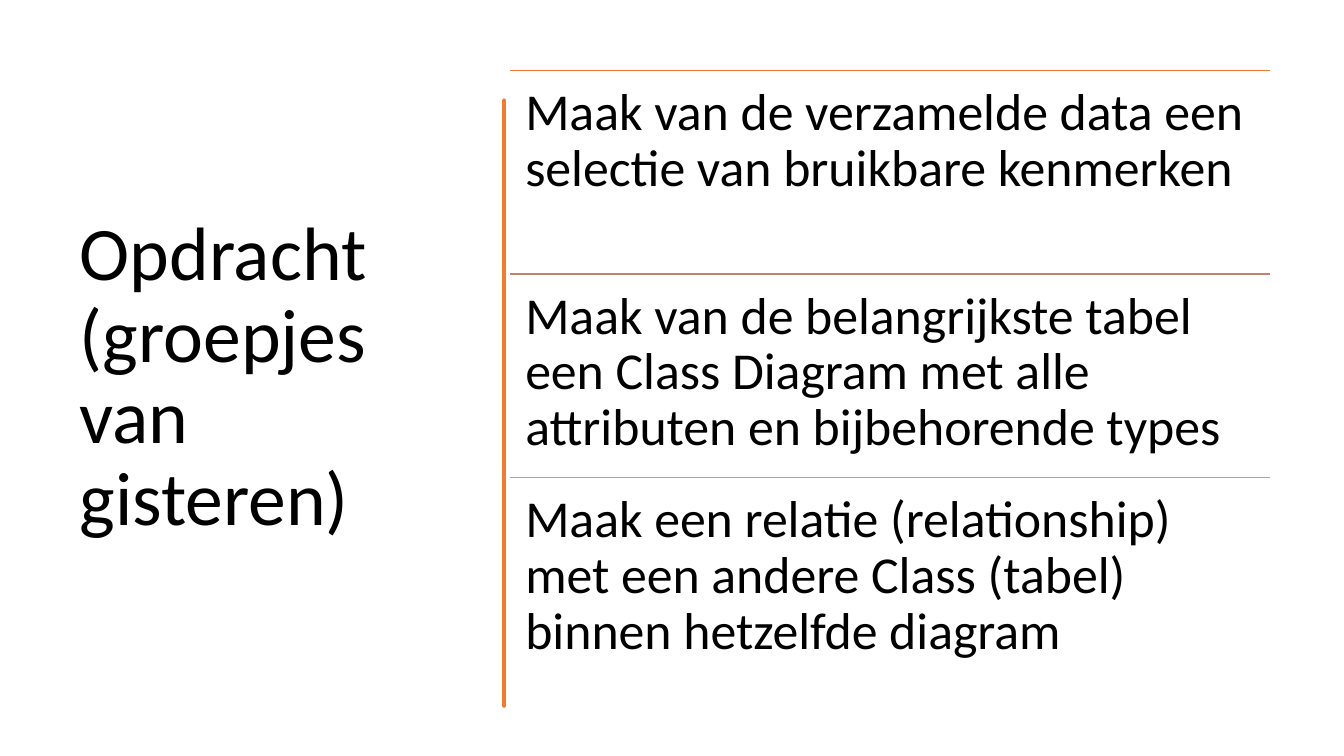
from lxml import etree
from pptx import Presentation
from pptx.dml.color import RGBColor
from pptx.enum import shapes, text
from pptx.oxml.ns import qn
from pptx.util import Inches, Pt

# Content
TITLE = "Opdracht (groepjes van gisteren)"
TASKS = [
    ("Maak van de verzamelde data een selectie van bruikbare kenmerken", "ED7D31"),
    ("Maak van de belangrijkste tabel een Class Diagram met alle "
     "attributen en bijbehorende types", "C48170"),
    ("Maak een relatie (relationship) met een andere Class (tabel) "
     "binnen hetzelfde diagram", "A5A5A5"),
]
ORANGE = "ED7D31"

# Hand-drawn divider: (x, y) down the right edge, then up the left edge
DIVIDER = [
    (4.75, 0.84), (4.76, 1.15), (4.75, 1.46), (4.74, 1.86), (4.75, 2.26),
    (4.74, 2.6), (4.75, 2.94), (4.76, 3.3), (4.75, 3.56), (4.76, 3.95),
    (4.75, 4.36), (4.73, 4.72), (4.75, 5.1), (4.76, 5.5), (4.75, 5.84),
    (4.74, 6.27), (4.75, 6.76),
    (4.73, 6.76), (4.72, 6.45), (4.73, 6.13), (4.74, 5.77), (4.73, 5.57),
    (4.72, 5.17), (4.73, 4.77), (4.72, 4.49), (4.73, 4.15), (4.74, 3.77),
    (4.73, 3.35), (4.72, 2.92), (4.73, 2.5), (4.74, 2.12), (4.73, 1.81),
    (4.74, 1.33), (4.73, 0.84),
]

# Layout, in inches
TASK_LEFT, TASK_TOP, TASK_WIDTH, TASK_HEIGHT = 5.06, 0.7, 7.55, 2.02
INSET = 0.15


def color(value):
    return RGBColor.from_string(value)


def write(frame, words, size):
    frame.word_wrap = True
    frame.auto_size = text.MSO_AUTO_SIZE.NONE
    para = frame.paragraphs[0]
    para.text = words
    para.alignment = text.PP_ALIGN.LEFT
    para.line_spacing = 0.9
    para.font.name = "Calibri"
    para.font.size = Pt(size)
    para.font.color.rgb = color("000000")


deck = Presentation()
deck.slide_width, deck.slide_height = Inches(13.33), Inches(7.5)
page = deck.slides.add_slide(deck.slide_layouts[5])

# Title
title = page.shapes.title
title.left, title.top = Inches(0.69), Inches(0.7)
title.width, title.height = Inches(3.74), Inches(6.11)
title.text_frame.vertical_anchor = text.MSO_ANCHOR.MIDDLE
write(title.text_frame, TITLE, 54)

# Divider
builder = page.shapes.build_freeform(*DIVIDER[0], scale=Inches(1))
builder.add_line_segments(DIVIDER[1:], close=True)
divider = builder.convert_to_shape()
divider.shadow.inherit = False
divider.fill.solid()
divider.fill.fore_color.rgb = color(ORANGE)
divider.line.color.rgb = color(ORANGE)
divider.line.width = Pt(3.25)
etree.SubElement(divider.line._get_or_add_ln(), qn("a:round"))

# Tasks, each under its own rule
for index, (words, rule_color) in enumerate(TASKS):
    left, top = Inches(TASK_LEFT), Inches(TASK_TOP + index * TASK_HEIGHT)
    rule = page.shapes.add_connector(
        shapes.MSO_CONNECTOR.STRAIGHT, left, top, Inches(12.6), top)
    rule.line.color.rgb = color(rule_color)
    rule.line.width = Pt(1)
    etree.SubElement(rule._element.spPr, qn("a:effectLst"))

    box = page.shapes.add_textbox(left, top, Inches(TASK_WIDTH), Inches(TASK_HEIGHT))
    frame = box.text_frame
    frame.margin_left = frame.margin_right = Inches(INSET)
    frame.margin_top = frame.margin_bottom = Inches(INSET)
    write(frame, words, 37)

deck.save("out.pptx")
